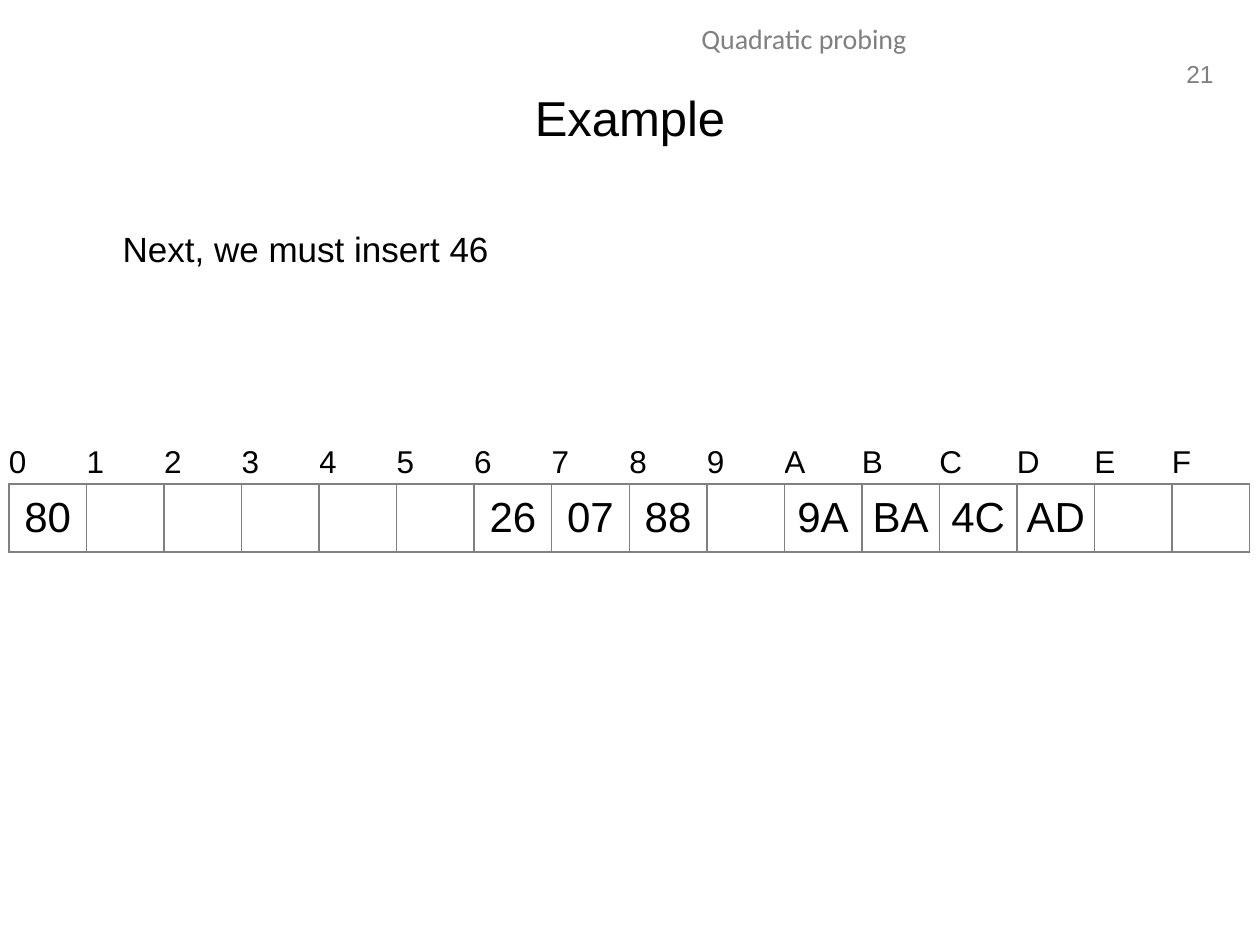
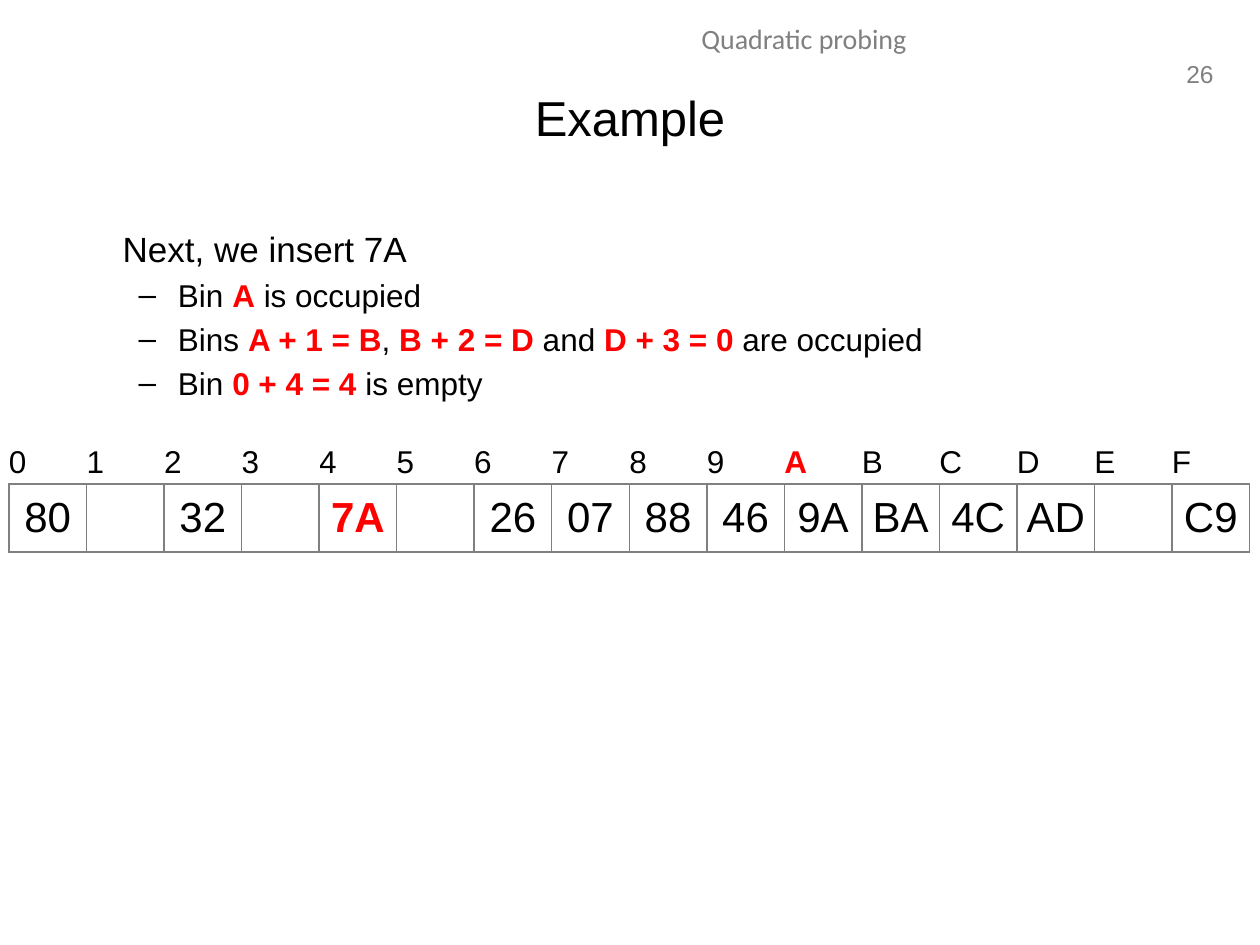
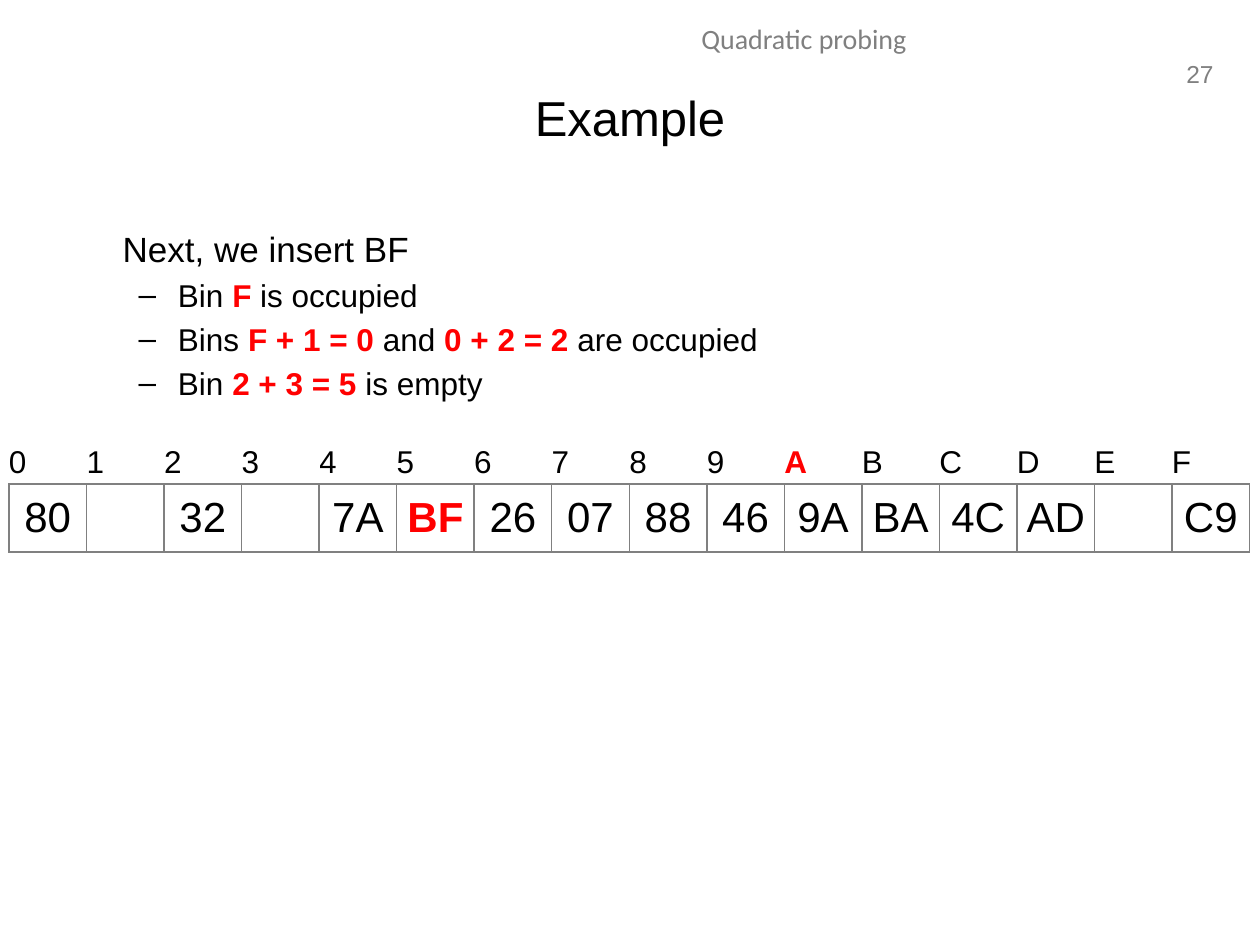
from dataclasses import dataclass

from lxml import etree
from pptx import Presentation
from pptx.dml.color import RGBColor
from pptx.enum.text import MSO_ANCHOR, MSO_AUTO_SIZE, PP_ALIGN
from pptx.oxml.ns import qn
from pptx.util import Emu, Pt

LEFT, CENTER, RIGHT = PP_ALIGN.LEFT, PP_ALIGN.CENTER, PP_ALIGN.RIGHT
MIDDLE = MSO_ANCHOR.MIDDLE
NO_AUTOFIT = MSO_AUTO_SIZE.NONE

EMU_PER_PX = 914400 / 126
BLACK, GREY, RED = "000000", "808080", "FF0000"
BODY_FONT, HEADER_FONT = "Arial", "Calibri"
BIN_LABELS = "0123456789ABCDEF"
ALL_SIDES = ("L", "R", "T", "B")


@dataclass(frozen=True)
class Box:
    left: int
    top: int
    width: int
    height: int


@dataclass(frozen=True)
class Insertion:
    """One step of the example; text between asterisks is emphasised."""
    page: int
    intro: str
    probes: tuple[str, ...]
    bins: dict[str, str]
    marked_label: str = ""
    new_bin: str = ""


PAGE_BOX = Box(1171, 53, 55, 42)
HEADER_BOX = Box(402, 15, 804, 50)
TITLE_BOX = Box(63, 38, 1134, 158)
BODY_BOX = Box(63, 221, 1134, 624)
TABLE_BOX = Box(9, 442, 1241, 110)
LABEL_ROW_HEIGHT = 42

BINS_BEFORE_46 = {"0": "80", "6": "26", "7": "07", "8": "88",
                  "A": "9A", "B": "BA", "C": "4C", "D": "AD"}
BINS_WITH_7A = BINS_BEFORE_46 | {"2": "32", "4": "7A", "9": "46", "F": "C9"}
BINS_WITH_BF = BINS_WITH_7A | {"5": "BF"}

INSERTIONS = (
    Insertion(21, "Next, we must insert 46", (), BINS_BEFORE_46),
    Insertion(26, "Next, we insert 7A",
              ("Bin *A* is occupied",
               "Bins *A + 1 = B*, *B + 2 = D* and *D + 3 = 0* are occupied",
               "Bin *0 + 4 = 4* is empty"),
              BINS_WITH_7A, marked_label="A", new_bin="4"),
    Insertion(27, "Next, we insert BF",
              ("Bin *F* is occupied",
               "Bins *F + 1 = 0* and *0 + 2 = 2* are occupied",
               "Bin *2 + 3 = 5* is empty"),
              BINS_WITH_BF, marked_label="A", new_bin="5"),
)


def px(length: int) -> Emu:
    return Emu(round(length * EMU_PER_PX))


def color(hex_value: str) -> RGBColor:
    return RGBColor.from_string(hex_value)


def place(shape, box: Box) -> None:
    shape.left, shape.top = px(box.left), px(box.top)
    shape.width, shape.height = px(box.width), px(box.height)


def style_font(font, size: int, hex_value: str = BLACK, name: str = BODY_FONT,
               bold: bool = False) -> None:
    font.name, font.size, font.bold = name, Pt(size), bold
    font.color.rgb = color(hex_value)


def write_line(frame, text: str, size: int, align, hex_value: str = BLACK,
               name: str = BODY_FONT, bold: bool = False) -> None:
    frame.text = text
    line = frame.paragraphs[0]
    line.alignment = align
    for run in line.runs:
        style_font(run.font, size, hex_value, name, bold)


def add_page_header(slide, page: int) -> None:
    for box, text, size, align, font_name, wraps in (
        (PAGE_BOX, str(page), 14, RIGHT, BODY_FONT, False),
        (HEADER_BOX, "Quadratic probing", 16, CENTER, HEADER_FONT, True),
    ):
        label = slide.shapes.add_textbox(0, 0, 0, 0)
        place(label, box)
        label.text_frame.word_wrap = wraps
        write_line(label.text_frame, text, size, align, GREY, font_name)


def add_probe(frame, probe: str) -> None:
    line = frame.add_paragraph()
    line.level = 1
    for index, piece in enumerate(probe.split("*")):
        run = line.add_run()
        run.text = piece
        emphasised = index % 2 == 1
        style_font(run.font, 18, RED if emphasised else BLACK, bold=emphasised)


def fill_body(body, insertion: Insertion) -> None:
    place(body, BODY_BOX)
    frame = body.text_frame
    frame.auto_size = NO_AUTOFIT
    write_line(frame, insertion.intro, 20, LEFT)
    intro = frame.paragraphs[0]
    intro.space_before = Pt(0)
    properties = intro._p.get_or_add_pPr()
    properties.set("marL", str(px(47)))
    properties.set("indent", "0")
    etree.SubElement(properties, qn("a:buNone"))
    for probe in insertion.probes:
        add_probe(frame, probe)


def add_borders(cell, sides: tuple[str, ...]) -> None:
    properties = cell._tc.get_or_add_tcPr()
    for side in sides:
        border = etree.SubElement(properties, qn(f"a:ln{side}"), w=str(Pt(1)))
        fill = etree.SubElement(border, qn("a:solidFill"))
        etree.SubElement(fill, qn("a:srgbClr"), val=GREY)


def fill_cell(cell, text: str, size: int, align, marked: bool,
              sides: tuple[str, ...]) -> None:
    add_borders(cell, sides)
    cell.fill.background()
    cell.margin_left = cell.margin_right = 0
    cell.margin_top = cell.margin_bottom = 0
    cell.vertical_anchor = MIDDLE
    write_line(cell.text_frame, text, size, align,
               RED if marked else BLACK, bold=marked)


def add_hash_table(slide, insertion: Insertion) -> None:
    frame = slide.shapes.add_table(
        2, len(BIN_LABELS), px(TABLE_BOX.left), px(TABLE_BOX.top),
        px(TABLE_BOX.width), px(TABLE_BOX.height))
    table = frame.table
    table.first_row = table.horz_banding = False
    table.rows[0].height = px(LABEL_ROW_HEIGHT)
    table.rows[1].height = px(TABLE_BOX.height - LABEL_ROW_HEIGHT)
    for column, label in enumerate(BIN_LABELS):
        fill_cell(table.cell(0, column), label, 18, LEFT,
                  label == insertion.marked_label, ("B",))
        fill_cell(table.cell(1, column), insertion.bins.get(label, ""), 24,
                  CENTER, label == insertion.new_bin, ALL_SIDES)


def add_insertion_slide(deck, insertion: Insertion) -> None:
    slide = deck.slides.add_slide(deck.slide_layouts[1])
    add_page_header(slide, insertion.page)
    title, body = slide.placeholders
    place(title, TITLE_BOX)
    write_line(title.text_frame, "Example", 28, CENTER)
    fill_body(body, insertion)
    add_hash_table(slide, insertion)


def main() -> None:
    deck = Presentation()
    deck.slide_width, deck.slide_height = px(1260), px(945)
    for insertion in INSERTIONS:
        add_insertion_slide(deck, insertion)
    deck.save("out.pptx")


if __name__ == "__main__":
    main()
